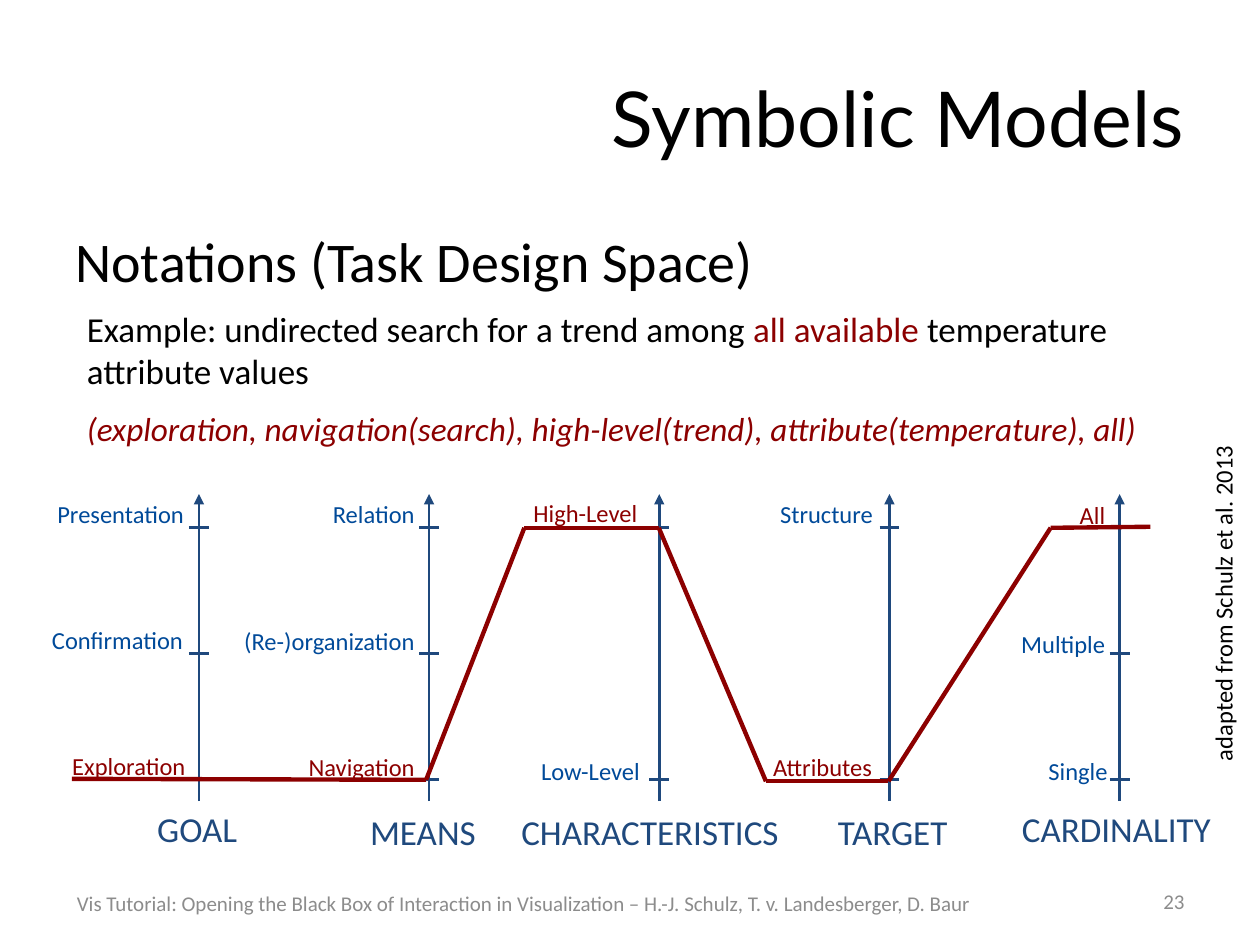
"""Build the Symbolic Models slide: a task design space on five parallel axes."""
from dataclasses import dataclass
from itertools import pairwise

from lxml import etree
from pptx import Presentation
from pptx.dml.color import RGBColor
from pptx.enum.shapes import MSO_CONNECTOR
from pptx.enum.text import MSO_ANCHOR, PP_ALIGN
from pptx.oxml.ns import qn
from pptx.util import Cm, Pt

LEFT, RIGHT = PP_ALIGN.LEFT, PP_ALIGN.RIGHT
TOP, MIDDLE = MSO_ANCHOR.TOP, MSO_ANCHOR.MIDDLE
STRAIGHT = MSO_CONNECTOR.STRAIGHT


@dataclass(frozen=True)
class Theme:
    black: RGBColor = RGBColor.from_string("000000")
    grey: RGBColor = RGBColor.from_string("8C8C8C")
    axis: RGBColor = RGBColor.from_string("1F497D")
    label: RGBColor = RGBColor.from_string("004A99")
    chosen: RGBColor = RGBColor.from_string("8C0000")
    heading_font: str = "Lato"
    body_font: str = "Calibri"
    title_size: int = 44
    heading_size: int = 32
    text_size: int = 20
    tuple_size: int = 19
    label_size: int = 14
    footer_size: int = 12


theme = Theme()


def write(box, text, size, color=theme.black, font=theme.body_font, align=LEFT,
          anchor=TOP, italic=False, before=0, after=0, new=False):
    """Write one paragraph of text, or of (text, color) spans, into a box."""
    frame = box.text_frame
    frame.word_wrap = True
    frame.vertical_anchor = anchor
    para = frame.add_paragraph() if new else frame.paragraphs[0]
    para.alignment = align
    para.space_before, para.space_after = Pt(before), Pt(after)
    for words, shade in [(text, color)] if isinstance(text, str) else text:
        span = para.add_run()
        span.text = words
        span.font.name, span.font.size = font, Pt(size)
        span.font.italic = italic
        span.font.color.rgb = shade


def draw_line(start, end, color, width, arrow=False):
    """Draw a straight line between two points given in centimetres."""
    line = page.shapes.add_connector(STRAIGHT, *map(Cm, start + end))
    line.line.color.rgb = color
    line.line.width = Pt(width)
    if arrow:
        etree.SubElement(line.line._get_or_add_ln(), qn("a:tailEnd"), type="triangle")
    etree.SubElement(line._element.spPr, qn("a:effectLst"))


deck = Presentation()
deck.slide_width, deck.slide_height = Cm(25.4), Cm(19.05)
page = deck.slides.add_slide(deck.slide_layouts[5])

title = page.shapes.title
title.left, title.top, title.width, title.height = Cm(1.27), Cm(0.76), Cm(22.86), Cm(3.18)
write(title, "Symbolic Models", theme.title_size, font=theme.heading_font,
      align=RIGHT, anchor=MIDDLE)

heading = page.shapes.add_textbox(Cm(1.27), Cm(4.45), Cm(23.24), Cm(1.6))
write(heading, "Notations (Task Design Space)", theme.heading_size, before=6.4, after=6)

footer = page.shapes.add_textbox(Cm(1.3), Cm(17.73), Cm(19.4), Cm(0.94))
write(footer, "Vis Tutorial: Opening the Black Box of Interaction in Visualization – "
      "H.-J. Schulz, T. v. Landesberger, D. Baur",
      theme.footer_size, theme.grey, anchor=MIDDLE)
number = page.shapes.add_textbox(Cm(18.21), Cm(17.65), Cm(5.92), Cm(1.02))
write(number, "23", theme.footer_size, theme.grey, align=RIGHT, anchor=MIDDLE)

HIGH, MID, LOW = 10.64, 13.18, 15.72
FIRST_AXIS, AXIS_STEP, TICK = 4.01, 4.64, 0.2
axes = [
    ("GOAL", 2.92, 16.15, 2.21, (HIGH, MID, LOW)),
    ("MEANS", 7.21, 16.21, 2.9, (HIGH, MID, LOW)),
    ("CHARACTERISTICS", 10.26, 16.21, 6.05, (HIGH, LOW)),
    ("TARGET", 16.64, 16.21, 2.97, (HIGH, LOW)),
    ("CARDINALITY", 20.35, 16.15, 4.37, (HIGH, MID, LOW)),
]
for index, (name, left, top, width, ticks) in enumerate(axes):
    x = FIRST_AXIS + index * AXIS_STEP
    draw_line((x, 16.15), (x, 9.96), theme.axis, 1.5, arrow=True)
    for y in ticks:
        draw_line((x - TICK, y), (x + TICK, y), theme.axis, 1.5)
    box = page.shapes.add_textbox(Cm(left), Cm(top), Cm(width), Cm(1.11))
    write(box, name, theme.text_size, theme.axis)

labels = [
    ("Exploration", 1.09, 15.01, 2.9, theme.chosen),
    ("Confirmation", 0.71, 12.47, 3.23, theme.label),
    ("Presentation", 0.71, 9.93, 3.25, theme.label),
    ("Navigation", 5.92, 15.04, 2.69, theme.chosen),
    ("(Re-)organization", 4.6, 12.5, 4.01, theme.label),
    ("Relation", 5.77, 9.93, 2.84, theme.label),
    ("Low-Level", 10.31, 15.11, 2.84, theme.label),
    ("High-Level", 10.41, 9.91, 2.69, theme.chosen),
    ("Attributes", 15.14, 15.04, 2.69, theme.chosen),
    ("Structure", 15.01, 9.93, 2.84, theme.label),
    ("Single", 19.74, 15.11, 2.84, theme.label),
    ("Multiple", 19.71, 12.55, 2.82, theme.label),
    ("All", 19.84, 9.96, 2.69, theme.chosen),
]
for text, left, top, width, color in labels:
    box = page.shapes.add_textbox(Cm(left), Cm(top), Cm(width), Cm(0.86))
    write(box, text, theme.label_size, color, align=RIGHT)

example = page.shapes.add_textbox(Cm(1.5), Cm(6.07), Cm(21.79), Cm(2.01))
write(example, [("Example: undirected search for a trend among ", theme.black),
                ("all available ", theme.chosen),
                ("temperature attribute values", theme.black)],
      theme.text_size, before=4, after=6)
write(example, "(exploration, navigation(search), high-level(trend), "
      "attribute(temperature), all)", theme.tuple_size, theme.chosen,
      italic=True, before=3.8, after=6, new=True)

task_points = [(1.45, 15.7), (8.59, 15.72), (10.57, HIGH), (13.28, HIGH),
               (15.44, 15.75), (17.91, 15.75), (21.18, HIGH), (23.19, 10.62)]
for start, end in pairwise(task_points):
    draw_line(start, end, theme.chosen, 2.5)

credit = page.shapes.add_textbox(Cm(19.96), Cm(10.46), Cm(9.4), Cm(0.86))
credit.rotation = 270
write(credit, "adapted from Schulz et al. 2013", theme.label_size)

deck.save("out.pptx")
